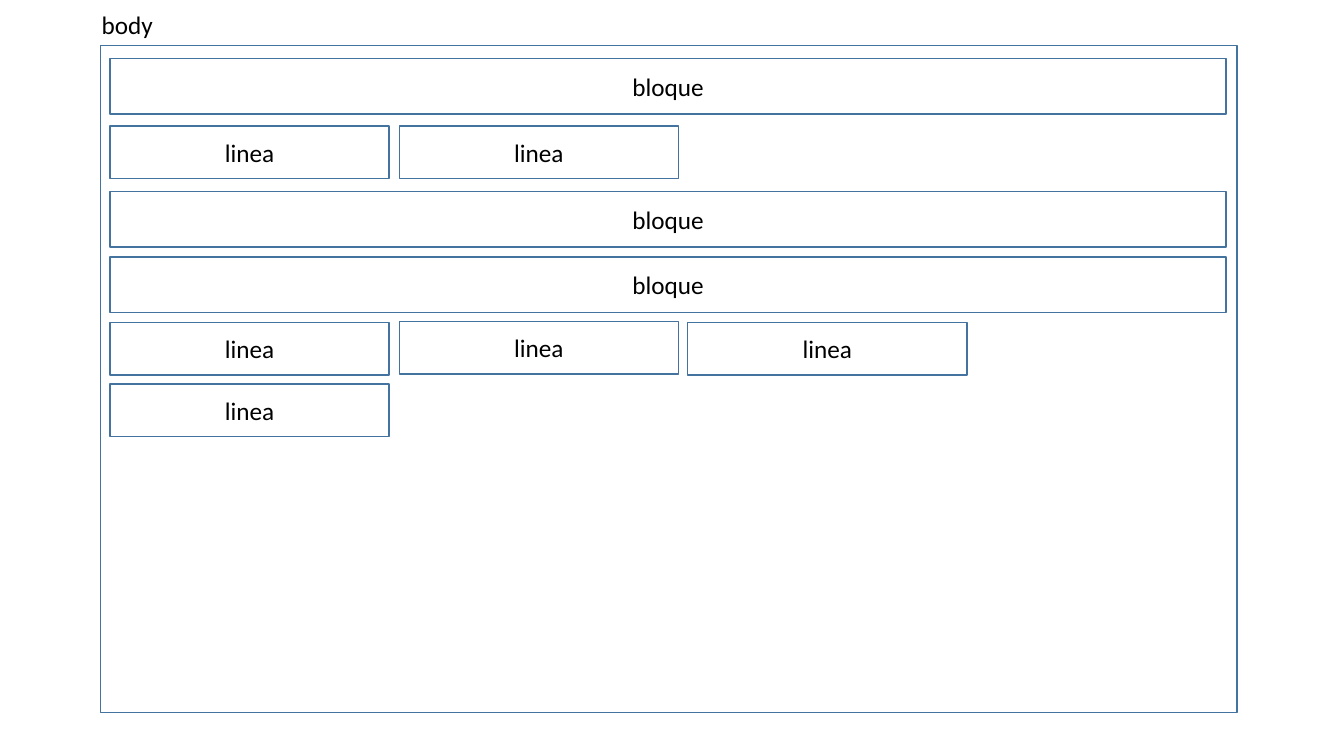
from pptx import Presentation
from pptx.dml.color import RGBColor
from pptx.enum.shapes import MSO_SHAPE as Shape
from pptx.enum.text import MSO_ANCHOR as Anchor, MSO_AUTO_SIZE as Fit, PP_ALIGN as Align
from pptx.util import Pt

PX = 9144
COLS = (109, 396, 682)
SIZES = {"bloque": (1107, 55), "linea": (277, 52)}
ROWS = [
    ("bloque", [58]),
    ("linea", [125, 125]),
    ("bloque", [190]),
    ("bloque", [255]),
    ("linea", [320, 319, 320]),
    ("linea", [381]),
]


def style(frame, text):
    frame.text = text
    font = frame.paragraphs[0].runs[0].font
    font.name = "Calibri"
    font.size = Pt(18)
    font.color.rgb = RGBColor.from_string("000000")


def draw(x, y, w, h):
    box = slide.shapes.add_shape(Shape.RECTANGLE, x * PX, y * PX, w * PX, h * PX)
    box.shadow.inherit = False
    box.fill.background()
    box.line.color.rgb = RGBColor.from_string("43739E")
    box.line.width = Pt(1)
    return box


deck = Presentation()
deck.slide_width = 1333 * PX
deck.slide_height = 750 * PX
slide = deck.slides.add_slide(deck.slide_layouts[6])

draw(100, 45, 1127, 662)

label = slide.shapes.add_textbox(91 * PX, 4 * PX, 132 * PX, 40 * PX)
label.text_frame.word_wrap = True
label.text_frame.auto_size = Fit.SHAPE_TO_FIT_TEXT
style(label.text_frame, "body")

for kind, tops in ROWS:
    for left, top in zip(COLS, tops):
        frame = draw(left, top, *SIZES[kind]).text_frame
        style(frame, kind)
        frame.vertical_anchor = Anchor.MIDDLE
        frame.paragraphs[0].alignment = Align.CENTER

deck.save("out.pptx")
